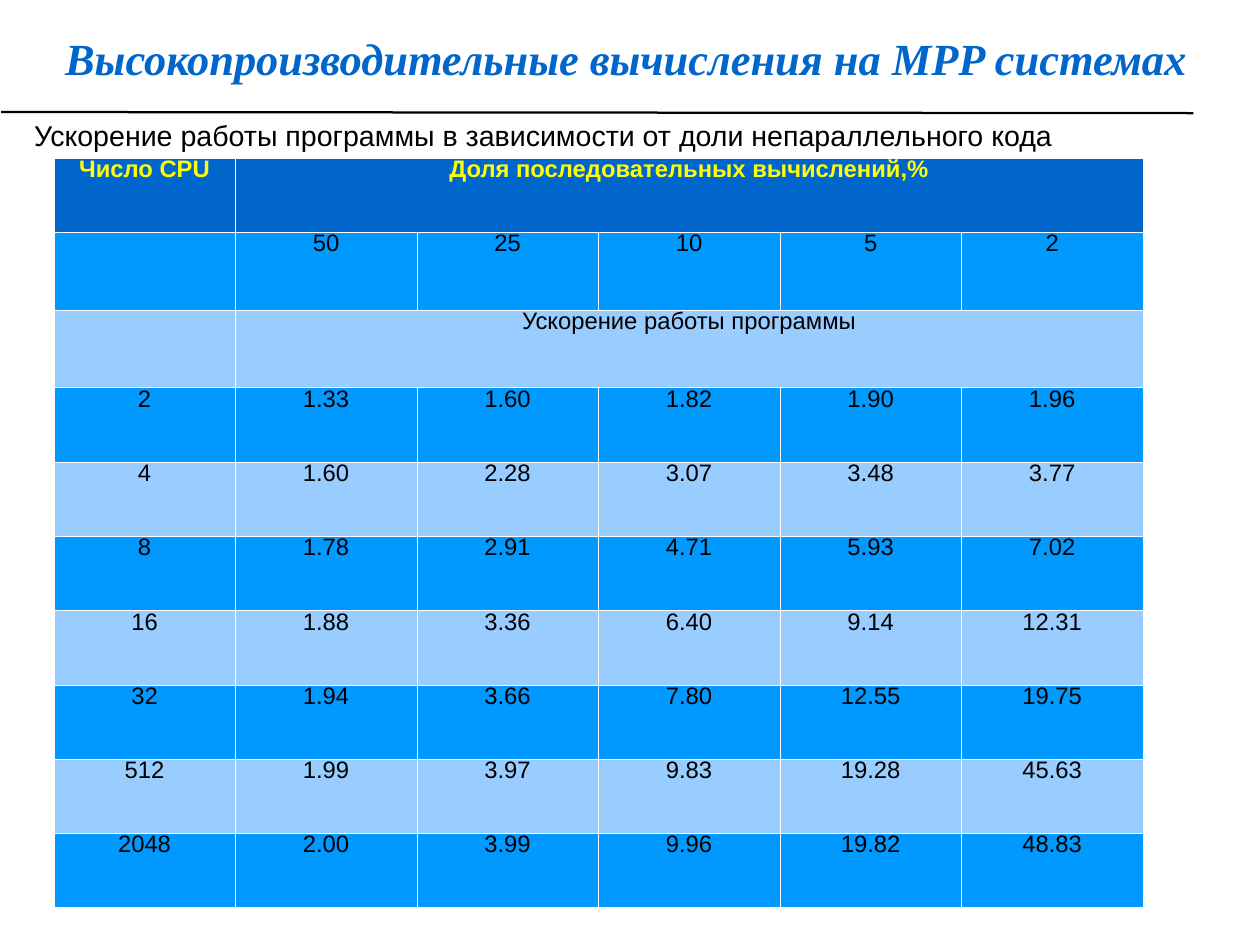
from dataclasses import dataclass

from lxml import etree
from pptx import Presentation
from pptx import util as u
from pptx.dml import color
from pptx.enum import shapes, text
from pptx.oxml import ns

COLORS = {
    "title": "0066CC",
    "header": "0066CC",
    "header text": "FFFF00",
    "dark band": "0099FF",
    "light band": "99CCFF",
    "border": "FFFFFF",
    "text": "000000",
}
COLUMN_COUNT = 6
TABLE_WIDTH = 9.53


@dataclass
class TableRow:
    label: str
    values: list[str]  # a single value spans all value columns
    height: float = 0.65


ROWS = [
    TableRow("Число CPU", ["Доля последовательных вычислений,%"]),
    TableRow("", ["50", "25", "10", "5", "2"], 0.68),
    TableRow("", ["Ускорение работы программы"], 0.68),
    TableRow("2", ["1.33", "1.60", "1.82", "1.90", "1.96"]),
    TableRow("4", ["1.60", "2.28", "3.07", "3.48", "3.77"]),
    TableRow("8", ["1.78", "2.91", "4.71", "5.93", "7.02"]),
    TableRow("16", ["1.88", "3.36", "6.40", "9.14", "12.31"]),
    TableRow("32", ["1.94", "3.66", "7.80", "12.55", "19.75"]),
    TableRow("512", ["1.99", "3.97", "9.83", "19.28", "45.63"]),
    TableRow("2048", ["2.00", "3.99", "9.96", "19.82", "48.83"]),
]


def rgb(name: str) -> color.RGBColor:
    return color.RGBColor.from_string(COLORS[name])


def write_text(frame, content: str, *, size: float, ink: str = "text",
               font: str = "Arial", bold: bool = False, italic: bool = False,
               align=text.PP_ALIGN.LEFT, spacing: float = 1.0) -> None:
    paragraph = frame.paragraphs[0]
    paragraph.alignment = align
    paragraph.line_spacing = spacing
    paragraph.space_before = u.Pt(0)
    run = paragraph.add_run()
    run.text = content
    run.font.name = font
    run.font.size = u.Pt(size)
    run.font.bold = bold
    run.font.italic = italic
    run.font.color.rgb = rgb(ink)


def place(shape, left: float, top: float, width: float, height: float) -> None:
    shape.left, shape.top = u.Inches(left), u.Inches(top)
    shape.width, shape.height = u.Inches(width), u.Inches(height)


def add_title(slide) -> None:
    title = slide.shapes.title
    place(title, 0, 0, 10.83, 0.82)
    frame = title.text_frame
    frame.word_wrap = True
    frame.auto_size = text.MSO_AUTO_SIZE.NONE
    frame.vertical_anchor = text.MSO_ANCHOR.MIDDLE
    frame.margin_left, frame.margin_top = u.Inches(0.12), u.Inches(0.11)
    frame.margin_right = frame.margin_bottom = 0
    write_text(frame, "Высокопроизводительные вычисления на MPP системах",
               size=28, ink="title", font="Times New Roman", bold=True,
               italic=True, align=text.PP_ALIGN.CENTER, spacing=1.16)


def add_rule(slide) -> None:
    rule = slide.shapes.add_connector(
        shapes.MSO_CONNECTOR.STRAIGHT, u.Inches(0.01), u.Inches(0.98),
        u.Inches(10.44), u.Inches(0.99))
    rule.line.color.rgb = rgb("text")
    rule.line.width = u.Pt(1.42)
    etree.SubElement(rule._element.spPr, ns.qn("a:effectLst"))


def add_caption(slide) -> None:
    caption = slide.shapes.add_textbox(
        u.Inches(0.2), u.Inches(0.98), u.Inches(10.24), u.Inches(0.59))
    caption.text_frame.word_wrap = True
    write_text(caption.text_frame,
               "Ускорение работы программы в зависимости "
               "от доли непараллельного кода", size=18)


def format_cell(cell, fill: str) -> None:
    properties = cell._tc.get_or_add_tcPr()
    for side in ("lnL", "lnR", "lnT", "lnB"):
        border = etree.SubElement(properties, ns.qn(f"a:{side}"),
                                  w=str(u.Pt(0.06)))
        solid = etree.SubElement(border, ns.qn("a:solidFill"))
        etree.SubElement(solid, ns.qn("a:srgbClr"), val=COLORS["border"])
    cell.fill.solid()
    cell.fill.fore_color.rgb = rgb(fill)


def add_speedup_table(slide) -> None:
    # Columns share the table width equally
    table = slide.shapes.add_table(
        len(ROWS), COLUMN_COUNT, u.Inches(0.47), u.Inches(1.38),
        u.Inches(TABLE_WIDTH),
        u.Inches(sum(row.height for row in ROWS))).table
    table.first_row = table.horz_banding = False

    for index, row in enumerate(ROWS):
        table.rows[index].height = u.Inches(row.height)
        header = index == 0
        band = "dark band" if index % 2 else "light band"
        for cell in table.rows[index].cells:
            format_cell(cell, "header" if header else band)
        if len(row.values) == 1:
            table.cell(index, 1).merge(table.cell(index, COLUMN_COUNT - 1))
        for position, content in enumerate([row.label, *row.values]):
            if content:
                write_text(table.cell(index, position).text_frame, content,
                           size=15, ink="header text" if header else "text",
                           bold=header, align=text.PP_ALIGN.CENTER, spacing=0.66)


def main() -> None:
    presentation = Presentation()
    # The page is 28 by 21 centimetres
    presentation.slide_width = u.Inches(28 / 2.54)
    presentation.slide_height = u.Inches(21 / 2.54)
    slide = presentation.slides.add_slide(presentation.slide_layouts[5])
    add_title(slide)
    add_rule(slide)
    add_caption(slide)
    add_speedup_table(slide)
    presentation.save("out.pptx")


if __name__ == "__main__":
    main()
